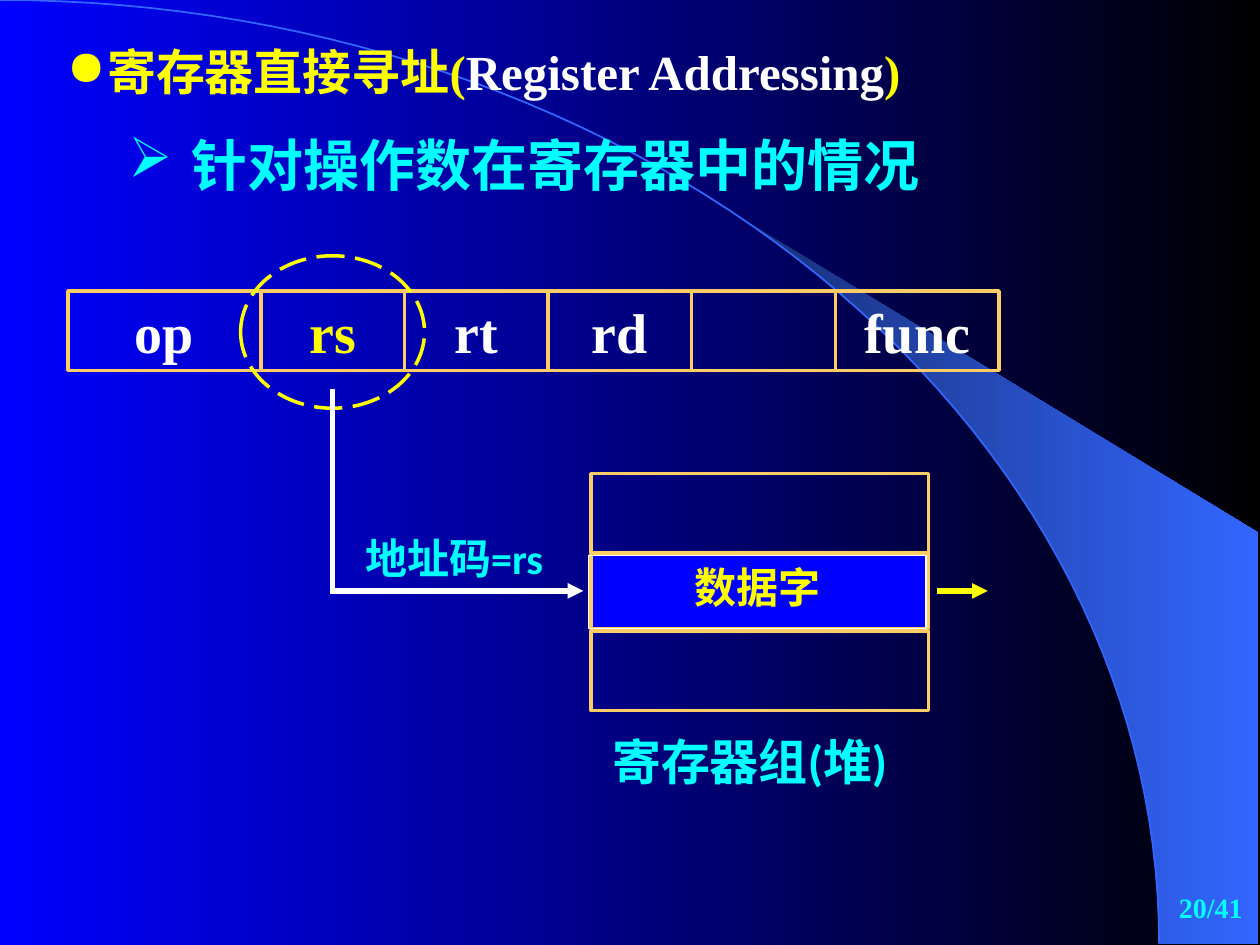
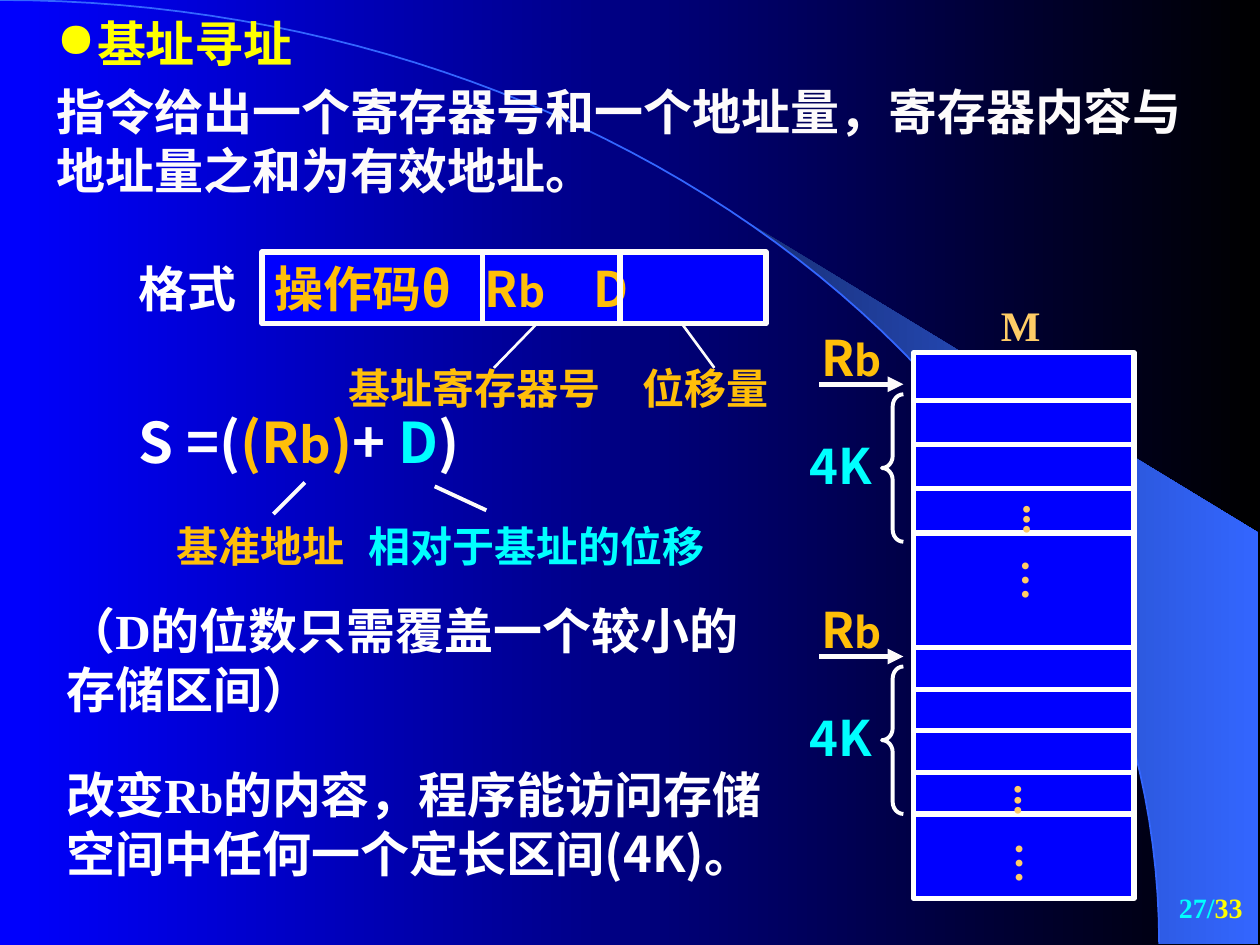
from math import asin, cos, pi, sin

from lxml import etree
from pptx import Presentation, util as u
from pptx.dml.color import RGBColor
from pptx.enum import dml, shapes, text
from pptx.oxml.ns import qn

# Grid: 100 columns by 75 rows of square cells
COLUMNS = 100
LATIN, CJK, SANS = "Times New Roman", "Noto Sans CJK SC", "Calibri"
BLUE, BLACK, NAVY, SKY = "0000FF", "000000", "182F76", "3366FF"
WHITE, SNOW, YELLOW, CYAN = "FFFFFF", "FDFBFB", "FFFF00", "00FFFF"
AMBER, SAND = "FFBF09", "FFCC66"
CENTER, RIGHT = text.PP_ALIGN.CENTER, text.PP_ALIGN.RIGHT
TOP, MIDDLE = text.MSO_ANCHOR.TOP, text.MSO_ANCHOR.MIDDLE


def rgb(colour):
    return RGBColor.from_string(colour)


class Deck:
    """Holds the shared style and the current slide."""

    def __init__(self):
        self.presentation = Presentation()
        self.presentation.slide_width = u.Inches(10)
        self.presentation.slide_height = u.Inches(7.5)
        self.cell = self.presentation.slide_width / COLUMNS
        self.slide = None
        self.gradient(self.presentation.slide_master.background.fill, BLUE, BLACK)

    def grid(self, *cells):
        return [u.Emu(round(count * self.cell)) for count in cells]

    def gradient(self, fill, start, end):
        fill.gradient()
        fill.gradient_angle = 0
        for stop, colour in zip(fill.gradient_stops, (start, end)):
            stop.color.rgb = rgb(colour)

    def new_slide(self, title, box, page):
        first = self.slide is None
        self.slide = self.presentation.slides.add_slide(self.presentation.slide_layouts[5])
        if first:
            self.decorate_master()
        self.title(title, box)
        self.label((78.8, 69.5, 20.8, 5), page, 16, CYAN, align=RIGHT, anchor=MIDDLE)

    def decorate_master(self):
        """Quarter ellipse and the beam that touches it, kept on the master."""
        across, down, steps = 92, 74.9, 60

        def arc(start):
            angles = [start + (pi / 2 - start) * step / steps for step in range(steps + 1)]
            return [(across * sin(angle), down * (1 - cos(angle))) for angle in angles]

        beam = self.outline(arc(asin(58.9 / across)) + [(99.9, 74.9), (99.9, 42.3)], True)
        self.gradient(beam.fill, NAVY, SKY)
        beam.line.fill.background()
        curve = self.outline(arc(0), False)
        self.paint(curve, None, SKY, 1)
        for shape in (beam, curve):
            self.presentation.slide_master.shapes.element.append(shape.element)

    def outline(self, points, closed):
        points = [self.grid(*point) for point in points]
        builder = self.slide.shapes.build_freeform(*points[0])
        builder.add_line_segments(points[1:], close=closed)
        shape = builder.convert_to_shape()
        shape.shadow.inherit = False
        return shape

    def paint(self, shape, fill, line, width):
        shape.shadow.inherit = False
        if fill:
            shape.fill.solid()
            shape.fill.fore_color.rgb = rgb(fill)
        else:
            shape.fill.background()
        shape.line.color.rgb = rgb(line)
        shape.line.width = u.Pt(width)

    def style(self, font, size=None, colour=None, name=None):
        if size:
            font.size = u.Pt(size)
        if colour:
            font.color.rgb = rgb(colour)
        if name:
            font.name = name

    def set_text(self, shape, runs, size, colour, name=LATIN, align=None, anchor=TOP,
                 bullet=None, indent=0, tabs=(), spacing=None, wrap=True):
        """runs is a string, or a list of (text, overrides) pairs."""
        frame = shape.text_frame
        frame.word_wrap = wrap
        frame.auto_size = text.MSO_AUTO_SIZE.NONE
        frame.vertical_anchor = anchor
        frame.margin_left = frame.margin_right = u.Inches(0.1)
        frame.margin_top = frame.margin_bottom = u.Inches(0.05)
        paragraph = frame.paragraphs[0]
        paragraph.alignment = align or text.PP_ALIGN.LEFT
        if spacing:
            paragraph.line_spacing = spacing
        properties = paragraph._p.get_or_add_pPr()
        if bullet:
            step = self.grid(indent)[0]
            properties.set("marL", str(step))
            properties.set("indent", str(-step))
            tint = etree.SubElement(properties, qn("a:buClr"))
            etree.SubElement(tint, qn("a:srgbClr"), val=colour)
            etree.SubElement(properties, qn("a:buChar"), char=bullet)
        if tabs:
            stops = etree.SubElement(properties, qn("a:tabLst"))
            for stop in self.grid(*tabs):
                etree.SubElement(stops, qn("a:tab"), pos=str(stop), algn="l")
        self.style(paragraph.font, size, colour, name)
        paragraph.font.bold = True
        for words, overrides in [(runs, {})] if isinstance(runs, str) else runs:
            run = paragraph.add_run()
            run.text = words
            self.style(run.font, **overrides)

    def title(self, runs, box):
        shape = self.slide.shapes.title
        shape.left, shape.top, shape.width, shape.height = self.grid(*box)
        self.set_text(shape, runs, 28, YELLOW, bullet="●", indent=3.2)

    def label(self, box, runs, size, colour, name=LATIN, **options):
        shape = self.slide.shapes.add_textbox(*self.grid(*box))
        self.set_text(shape, runs, size, colour, name, **options)
        return shape

    def vertical_label(self, box, words):
        shape = self.label(box, words, 24, SAND)
        frame = shape.text_frame
        frame.margin_left = frame.margin_right = u.Inches(0.05)
        frame.margin_top = frame.margin_bottom = u.Inches(0.1)
        shape.element.txBody.find(qn("a:bodyPr")).set("vert", "eaVert")

    def shape(self, box, line, width, fill=None, kind=shapes.MSO_SHAPE.RECTANGLE):
        shape = self.slide.shapes.add_shape(kind, *self.grid(*box))
        self.paint(shape, fill, line, width)
        return shape

    def line(self, start, end, colour, width, arrow=False):
        connector = self.slide.shapes.add_connector(
            shapes.MSO_CONNECTOR.STRAIGHT, *self.grid(*start, *end))
        connector.line.color.rgb = rgb(colour)
        connector.line.width = u.Pt(width)
        properties = connector.element.spPr
        if arrow:
            etree.SubElement(properties.find(qn("a:ln")), qn("a:tailEnd"), type="triangle")
        etree.SubElement(properties, qn("a:effectLst"))


def register_addressing(deck):
    deck.new_slide([("寄存器直接寻址(", {}), ("Register Addressing", {"colour": WHITE}),
                    (")", {})], (4.3, 2.8, 78, 5.7), "20/41")
    deck.label((9.2, 9.9, 73.8, 6.4), "针对操作数在寄存器中的情况", 32, CYAN, CJK,
               bullet="➢", indent=5)

    # Instruction fields
    left = 5.4
    for field, width in (("op", 15.3), ("rs", 11.4), ("rt", 11.4), ("rd", 11.4),
                         ("", 11.4), ("func", 13)):
        rectangle = deck.shape((left, 23.1, width, 6.3), SAND, 2)
        if field:
            deck.set_text(rectangle, field, 32, YELLOW if field == "rs" else WHITE,
                          align=CENTER, anchor=MIDDLE)
        left += width
    highlight = deck.shape((19.1, 20.3, 14.6, 12.1), YELLOW, 2, kind=shapes.MSO_SHAPE.OVAL)
    highlight.line.dash_style = dml.MSO_LINE.LONG_DASH

    # Address route from rs to the register
    deck.line((26.4, 30.9), (26.4, 46.9), WHITE, 3)
    deck.line((26.2, 46.9), (46.3, 46.9), WHITE, 3, arrow=True)
    deck.label((28, 41.8, 17.3, 5.1), "地址码=rs", 24, CYAN, SANS)

    # Register bank
    deck.shape((46.9, 44, 26.8, 5.9), SAND, 2, BLUE)
    word = deck.shape((46.7, 44.1, 26.8, 5.8), WHITE, 0.75)
    deck.set_text(word, "数据字", 24, YELLOW, CJK, align=CENTER, wrap=False)
    for top in (37.6, 50.1):
        deck.shape((46.9, top, 26.8, 6.3), SAND, 2)
    deck.label((47.6, 57.6, 28.3, 5.8), "寄存器组(堆)", 28, CYAN, SANS)
    deck.line((74.4, 46.9), (78.4, 46.9), YELLOW, 3, arrow=True)


def base_addressing(deck):
    deck.new_slide("基址寻址", (3.5, 0.6, 22.8, 5.7),
                   [("27/", {}), ("33", {"colour": YELLOW})])
    small, sans = {"size": 24}, {"name": CJK}
    deck.label((3.5, 6, 94.6, 10.4),
               "指令给出一个寄存器号和一个地址量，寄存器内容与地址量之和为有效地址。", 28, SNOW)

    # Instruction format
    deck.label((10, 20, 11.7, 5.7), "格式", 28, WHITE)
    fields = deck.shape((20.8, 20, 40, 5.7), SNOW, 3, BLUE)
    deck.set_text(fields, [("操作码", {}), ("θ\tR", sans), ("b\t", {**sans, **small}),
                           ("D", sans)], 28, AMBER, tabs=(16.7, 25.3))
    for divider in (38.3, 49.2):
        deck.line((divider, 20), (divider, 25.8), SNOW, 3)
    deck.line((42.5, 25.8), (39.2, 29.2), SNOW, 1.5)
    deck.line((54.2, 25.8), (56.7, 29.2), SNOW, 1.5)

    # Effective address
    deck.label((10, 33.3, 35.8, 4.8),
               [("S =(", {}), ("(R", {"colour": AMBER}), ("b", {"colour": AMBER, "size": 28}),
                (")", {"colour": AMBER}), ("+ ", {}), ("D", {"colour": CYAN}), (")", {})],
               32, WHITE, CJK, spacing=0.7)
    deck.line((24.2, 38.3), (21.7, 40.8), SNOW, 2.25)
    deck.line((34.5, 38.6), (38.6, 40.5), SNOW, 2.25)

    # Captions of the parts
    for left, top, width, caption, colour in (
            (26.7, 28.3, 23.3, "基址寄存器号", AMBER), (50, 28.3, 15.8, "位移量", AMBER),
            (13, 40.8, 16.7, "基准地址", AMBER), (28.3, 40.8, 32.5, "相对于基址的位移", CYAN)):
        deck.label((left, top, width, 5), caption, 24, colour, CJK)

    # Remarks
    deck.label((4.3, 47.2, 58.2, 10.4), "（D的位数只需覆盖一个较小的存储区间）", 28, WHITE)
    deck.label((4.3, 60.2, 58.2, 15),
               [("改变R", {}), ("b", small), ("的内容，程序能访问存储空间中任何一个定长区间", {}),
                ("(4K)。", sans)], 28, WHITE)

    # Memory with two windows of 4K
    deck.shape((72.5, 28, 17.5, 43.3), WHITE, 3, BLUE)
    deck.label((75.6, 23.3, 10.8, 5), "M", 24, SAND, align=CENTER)
    for shift, first, step, count in ((0, 31.8, 3.5, 4), (21.6, 51.4, 3.3, 5)):
        for index in range(count):
            row = first + index * step
            deck.line((72.5, row), (90, row), WHITE, 3)
        deck.label((64.2, 25.5 + shift, 9.2, 5.7), [("R", {}), ("b", small)], 28, AMBER, CJK)
        deck.line((65, 30.5 + shift), (71.7, 30.5 + shift), SNOW, 3, arrow=True)
        deck.label((63.3, 34.1 + shift, 9.2, 5.7), "4K", 28, CYAN, CJK)
        brace = deck.shape((70, 31.3 + shift, 1.7, 11.7), WHITE, 2.25,
                           kind=shapes.MSO_SHAPE.LEFT_BRACE)
        brace.adjustments[0] = 0.56
    for left, top, height, dots in ((79.1, 39, 5.8, "..."), (79, 43.4, 4.2, "…"),
                                    (78.4, 61.3, 5.8, "..."), (78.5, 65.9, 5, "…")):
        deck.vertical_label((left, top, 6, height), dots)


def main():
    deck = Deck()
    register_addressing(deck)
    base_addressing(deck)
    deck.presentation.save("out.pptx")


if __name__ == "__main__":
    main()
